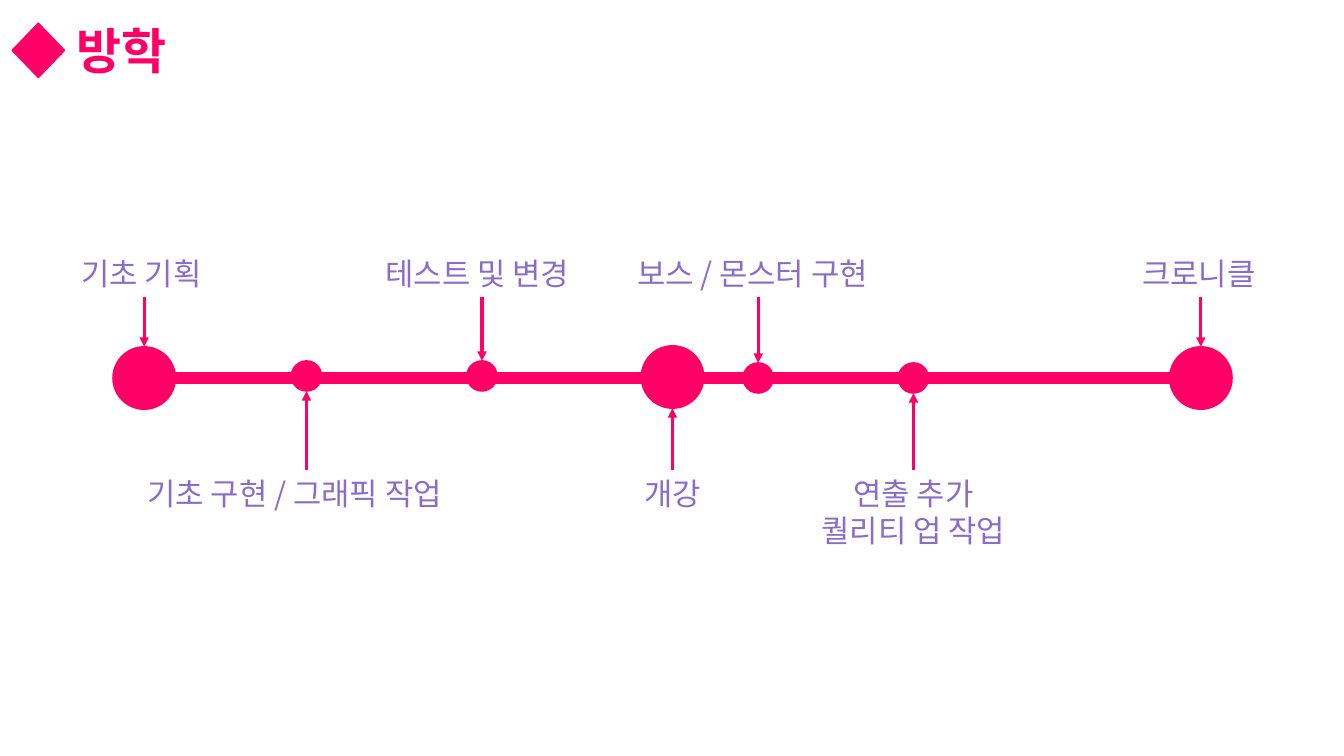
from lxml.etree import SubElement
from pptx import Presentation
from pptx.dml.color import RGBColor
from pptx.enum.shapes import MSO_CONNECTOR as Connector, MSO_SHAPE as Shape
from pptx.enum.text import MSO_ANCHOR as Anchor, MSO_AUTO_SIZE as AutoSize, PP_ALIGN as Align
from pptx.oxml.ns import qn
from pptx.util import Inches, Pt

# Content
TITLE = "방학"
# label lines, side, centre x, centre y, dot size, label width, alignment
MILESTONES = [
    (["기초 기획"], "above", 1.43, 3.75, 0.62, 1.44, Align.LEFT),
    (["기초 구현 / 그래픽 작업"], "below", 3.04, 3.73, 0.3, 3.35, Align.LEFT),
    (["테스트 및 변경"], "above", 4.78, 3.73, 0.3, 2.11, Align.LEFT),
    (["개강"], "below", 6.67, 3.74, 0.62, 0.78, Align.CENTER),
    (["보스 / 몬스터 구현"], "above", 7.52, 3.75, 0.3, 2.6, Align.LEFT),
    (["연출 추가", "퀄리티 업 작업"], "below", 9.06, 3.75, 0.3, 2.11, Align.CENTER),
    (["크로니클"], "above", 11.91, 3.75, 0.62, 1.36, Align.LEFT),
]

# Style
FONT = "Noto Sans CJK KR"
PINK, PURPLE = "FF0066", "8B6CC8"
TITLE_FORMAT = {"name": FONT, "size": Pt(35), "bold": True}
LABEL_FORMAT = {"name": FONT, "size": Pt(22), "bold": False}

# Layout
AXIS_Y = 3.75
LABEL_TOP = {"above": 2.48, "below": 4.66}
LABEL_HEIGHT, LINE_HEIGHT = 0.47, 0.37
ARROW_START = {"above": 2.95, "below": 4.66}

prs = Presentation()
prs.slide_width, prs.slide_height = Inches(13.33), Inches(7.5)
slide = prs.slides.add_slide(prs.slide_layouts[5])


def rgb(value):
    return RGBColor.from_string(value)


def write(frame, lines, style, color, align):
    frame.word_wrap = True
    frame.vertical_anchor = Anchor.TOP
    frame.auto_size = AutoSize.SHAPE_TO_FIT_TEXT
    for index, line in enumerate(lines):
        paragraph = frame.add_paragraph() if index else frame.paragraphs[0]
        paragraph.alignment = align
        run = paragraph.add_run()
        run.text = line
        for attribute, value in style.items():
            setattr(run.font, attribute, value)
        run.font.color.rgb = rgb(color)
        SubElement(run.font._element, qn("a:ea"), typeface=FONT)


def add_marker(kind, left, top, width, height):
    marker = slide.shapes.add_shape(kind, *map(Inches, (left, top, width, height)))
    marker.shadow.inherit = False
    marker.fill.solid()
    marker.fill.fore_color.rgb = marker.line.color.rgb = rgb(PINK)
    marker.line.width = Pt(1)


def add_line(x1, y1, x2, y2, weight, arrow=False):
    line = slide.shapes.add_connector(Connector.STRAIGHT, *map(Inches, (x1, y1, x2, y2)))
    line.line.color.rgb = rgb(PINK)
    line.line.width = Pt(weight)
    if arrow:
        SubElement(line.line._get_or_add_ln(), qn("a:tailEnd"), type="triangle")
    SubElement(line._element.spPr, qn("a:effectLst"))


# Heading
add_marker(Shape.FLOWCHART_DECISION, 0.12, 0.23, 0.52, 0.54)
title = slide.shapes.title
title.left, title.top, title.width, title.height = map(Inches, (-0.78, 0.15, 3.97, 0.69))
write(title.text_frame, [TITLE], TITLE_FORMAT, PINK, Align.CENTER)

# Axis from the outer edge of the first dot to that of the last
first, last = MILESTONES[0], MILESTONES[-1]
add_line(first[2] - first[4] / 2, AXIS_Y, last[2] + last[4] / 2, AXIS_Y, 8)

# Dots, arrows and labels
for lines, side, x, y, size, width, align in MILESTONES:
    add_marker(Shape.OVAL, x - size / 2, y - size / 2, size, size)
    dot_edge = y - size / 2 if side == "above" else y + size / 2
    add_line(x, ARROW_START[side], x, dot_edge, 2.25, arrow=True)
    height = LABEL_HEIGHT + LINE_HEIGHT * (len(lines) - 1)
    label = slide.shapes.add_textbox(
        *map(Inches, (x - width / 2, LABEL_TOP[side], width, height)))
    write(label.text_frame, lines, LABEL_FORMAT, PURPLE, align)

prs.save("out.pptx")
